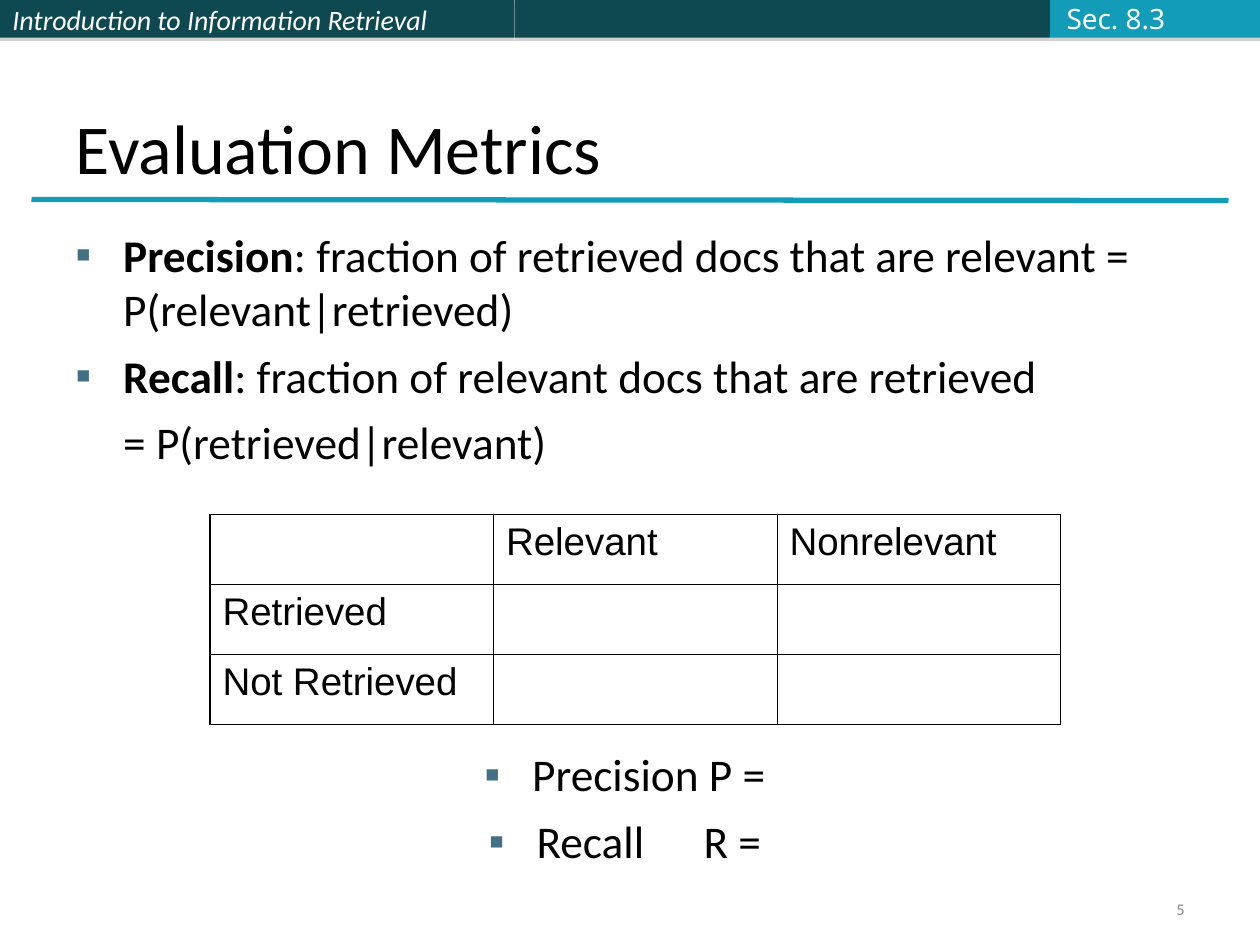
from lxml.etree import SubElement
from pptx import Presentation
from pptx.dml.color import RGBColor
from pptx.enum.shapes import MSO_CONNECTOR, MSO_SHAPE
from pptx.enum.text import MSO_ANCHOR, PP_ALIGN
from pptx.oxml.ns import qn
from pptx.util import Inches, Pt

COLORS = {
    "dark": "0E4851",
    "accent": "139CB7",
    "bullet": "437085",
    "number": "898989",
    "light": "FBFCFF",
    "white": "FFFFFF",
    "black": "000000",
    "shadow": "808080",
}
COLUMNS, ROWS = 120, 90
HEADER_ROWS = 3.6
HANGING = Inches(0.38)


def add_color(parent, name):
    fill = SubElement(parent, qn("a:solidFill"))
    return SubElement(fill, qn("a:srgbClr"), val=COLORS[name])


class SlideBuilder:
    """Places styled elements on a grid of 120 columns by 90 rows."""

    def __init__(self, presentation):
        self.column = presentation.slide_width / COLUMNS
        self.row = presentation.slide_height / ROWS
        self.slide = presentation.slides.add_slide(presentation.slide_layouts[5])

    def box(self, left, top, width, height):
        return (int(left * self.column), int(top * self.row),
                int(width * self.column), int(height * self.row))

    def style(self, paragraph, size, color="black", font="Calibri", italic=False):
        paragraph.font.name = font
        paragraph.font.size = Pt(size)
        paragraph.font.italic = italic
        paragraph.font.color.rgb = RGBColor.from_string(COLORS[color])

    def title(self, text, *place):
        title = self.slide.shapes.title
        title.left, title.top, title.width, title.height = self.box(*place)
        title.text_frame.text = text
        title.text_frame.vertical_anchor = MSO_ANCHOR.BOTTOM
        paragraph = title.text_frame.paragraphs[0]
        paragraph.alignment = PP_ALIGN.LEFT
        self.style(paragraph, 40)

    def header_bar(self, left, width, color):
        place = self.box(left, 0, width, HEADER_ROWS)
        bar = self.slide.shapes.add_shape(MSO_SHAPE.RECTANGLE, *place)
        bar.fill.solid()
        bar.fill.fore_color.rgb = RGBColor.from_string(COLORS[color])
        bar.line.fill.background()
        bar.shadow.inherit = False
        effects = bar._element.spPr.find(qn("a:effectLst"))
        shadow = SubElement(effects, qn("a:outerShdw"), blurRad="0",
                            dist=str(Pt(1.8)), dir="5400000", rotWithShape="0")
        tint = SubElement(shadow, qn("a:srgbClr"), val=COLORS["shadow"])
        SubElement(tint, qn("a:alpha"), val="35000")
        return bar

    def label(self, frame, text, size, color, align=PP_ALIGN.LEFT, **font):
        """Fills a text frame with one vertically centred line."""
        frame.text = text
        frame.vertical_anchor = MSO_ANCHOR.MIDDLE
        paragraph = frame.paragraphs[0]
        paragraph.alignment = align
        self.style(paragraph, size, color, **font)

    def text_box(self, *place, wrap=True):
        frame = self.slide.shapes.add_textbox(*self.box(*place)).text_frame
        frame.word_wrap = wrap
        return frame

    def rule(self, left, top, right, bottom):
        x1, y1, x2, y2 = self.box(left, top, right, bottom)
        line = self.slide.shapes.add_connector(MSO_CONNECTOR.STRAIGHT, x1, y1, x2, y2)
        line.line.width = Pt(3)
        line.line.color.rgb = RGBColor.from_string(COLORS["accent"])
        SubElement(line._element.spPr, qn("a:effectLst"))

    def body(self, items, *place, align=PP_ALIGN.LEFT):
        """Adds paragraphs given as (has bullet, [(text, bold, spacing in points)])."""
        frame = self.text_box(*place)
        for index, (bulleted, runs) in enumerate(items):
            paragraph = frame.add_paragraph() if index else frame.paragraphs[0]
            properties = paragraph._p.get_or_add_pPr()
            properties.set("marL", str(HANGING))
            if bulleted:
                properties.set("indent", str(-HANGING))
                tint = SubElement(properties, qn("a:buClr"))
                SubElement(tint, qn("a:srgbClr"), val=COLORS["bullet"])
                SubElement(properties, qn("a:buFont"), typeface="Arial")
                SubElement(properties, qn("a:buChar"), char="▪")
            paragraph.alignment = align
            paragraph.space_before = Pt(7)
            self.style(paragraph, 25.9)
            for text, bold, spacing in runs:
                run = paragraph.add_run()
                run.text = text
                run.font.bold = bold
                if spacing:
                    run._r.get_or_add_rPr().set("spc", str(spacing * 100))

    def table(self, values, *place):
        row_count, column_count = len(values), len(values[0])
        table = self.slide.shapes.add_table(
            row_count, column_count, *self.box(*place)).table
        table.first_row = table.horz_banding = False
        for r, row in enumerate(values):
            for c, text in enumerate(row):
                cell = table.cell(r, c)
                outer = {"L": c == 0, "R": c == column_count - 1,
                         "T": r == 0, "B": r == row_count - 1}
                self.borders(cell, outer)
                cell.fill.background()
                cell.text = text
                paragraph = cell.text_frame.paragraphs[0]
                paragraph.space_before = Pt(5.5)
                self.style(paragraph, 22, font="Arial")

    def borders(self, cell, outer):
        properties = cell._tc.get_or_add_tcPr()
        for side, is_outer in outer.items():
            width = Pt(1.08 if is_outer else 0.45)
            add_color(SubElement(properties, qn(f"a:ln{side}"), w=str(width)), "black")


def main():
    presentation = Presentation()
    presentation.slide_width, presentation.slide_height = Inches(10), Inches(7.5)
    builder = SlideBuilder(presentation)

    course_bar = builder.header_bar(0, 49, "dark")
    builder.label(course_bar.text_frame, "Introduction to Information Retrieval",
                  16, "white", italic=True)
    builder.header_bar(49, 51, "dark")
    builder.header_bar(100, 20, "accent")
    builder.label(builder.text_box(100.4, -0.5, 11.8, 4.4, wrap=False),
                  "Sec. 8.3", 16, "light", font="Noto Sans")

    builder.title("Evaluation Metrics", 6, HEADER_ROWS, 108, 15)
    builder.rule(3, 19, 117, 19.1)
    builder.body([
        (True, [("Precision", True, 0),
                (": fraction of retrieved docs that are relevant = "
                 "P(relevant|retrieved)", False, 0)]),
        (True, [("Recall", True, 0),
                (": fraction of relevant docs that are retrieved", False, 0)]),
        (False, [("= P(retrieved|relevant)", False, 0)]),
    ], 6, 21, 108, 26)
    builder.table([
        ["", "Relevant", "Nonrelevant"],
        ["Retrieved", "", ""],
        ["Not Retrieved", "", ""],
    ], 20, 49, 81, 20)
    builder.body([
        (True, [("Precision P = ", False, 0)]),
        (True, [("Recall", False, 0), (" ", False, 28), ("R = ", False, 0)]),
    ], 6, 70.5, 108, 14, align=PP_ALIGN.CENTER)
    builder.label(builder.text_box(86, 85, 28, 3.2), "5", 9.3, "number", PP_ALIGN.RIGHT)

    presentation.save("out.pptx")


if __name__ == "__main__":
    main()
